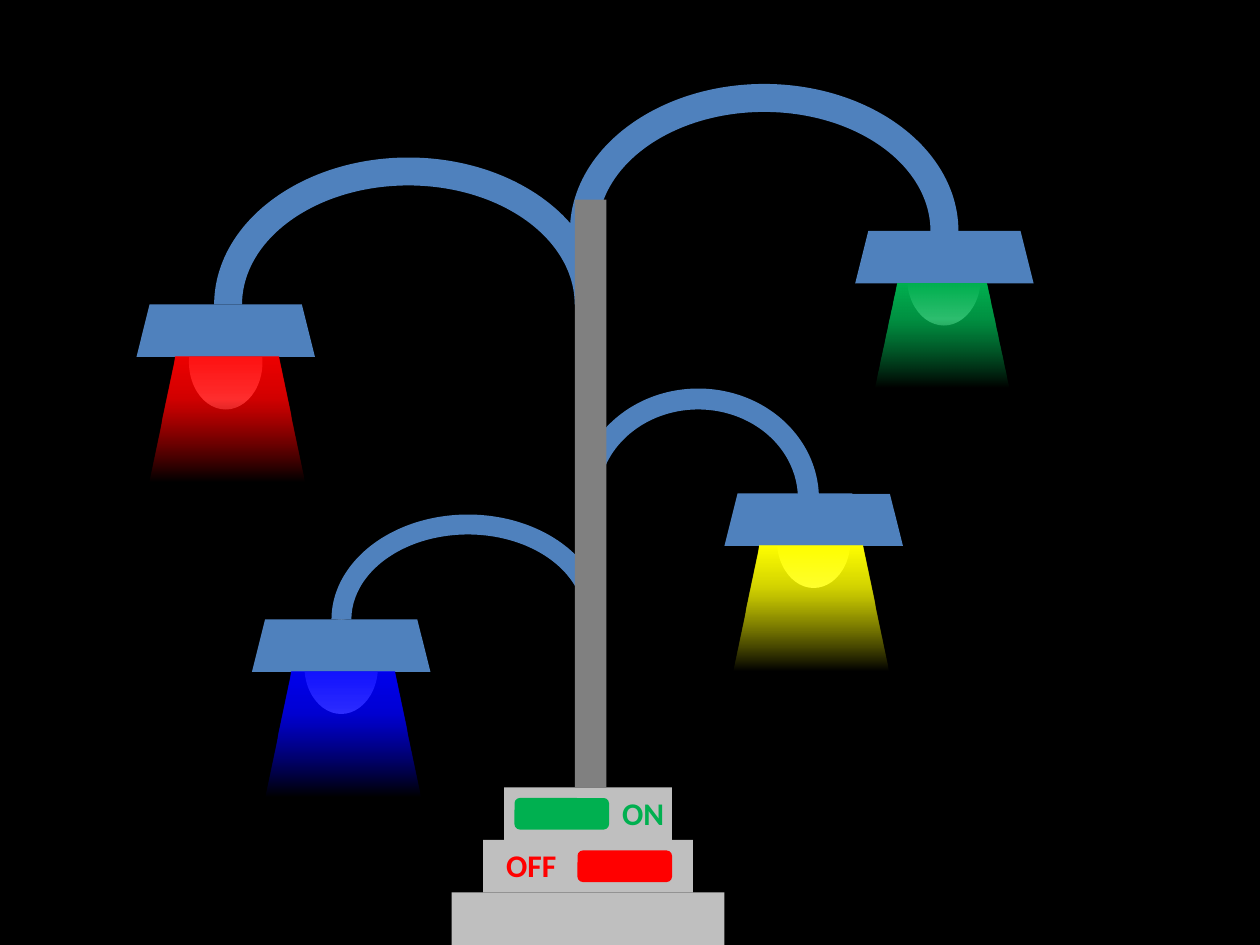
from lxml.etree import SubElement
from pptx import Presentation
from pptx.dml.color import RGBColor
from pptx.enum.shapes import MSO_SHAPE
from pptx.enum.text import MSO_AUTO_SIZE, PP_ALIGN
from pptx.oxml.ns import qn
from pptx.util import Pt

BLACK = RGBColor(0x00, 0x00, 0x00)
WHITE = RGBColor(0xFF, 0xFF, 0xFF)
STEEL = RGBColor(0x4F, 0x81, 0xBD)
POLE_GRAY = RGBColor(0x80, 0x80, 0x80)
BASE_GRAY = RGBColor(0xBF, 0xBF, 0xBF)
RED = RGBColor(0xFF, 0x00, 0x00)
GREEN = RGBColor(0x00, 0xB0, 0x50)
BLUE = RGBColor(0x00, 0x00, 0xFF)
YELLOW = RGBColor(0xFF, 0xFF, 0x00)

presentation = Presentation()
presentation.slide_width = Pt(720)
presentation.slide_height = Pt(540)
slide = presentation.slides.add_slide(presentation.slide_layouts[6])
slide.background.fill.solid()
slide.background.fill.fore_color.rgb = BLACK


def add_filled(kind, left, top, width, height, color):
    shape = slide.shapes.add_shape(kind, Pt(left), Pt(top), Pt(width), Pt(height))
    shape.shadow.inherit = False
    shape.line.fill.background()
    shape.fill.solid()
    shape.fill.fore_color.rgb = color
    return shape


def fade_down(shape, color, top_opacity):
    """Fade the fill from a translucent light colour to black halfway down."""
    shape.fill.gradient()
    shape.fill.gradient_angle = 270
    stop_list = shape.element.spPr.find(qn("a:gradFill")).find(qn("a:gsLst"))
    for stop in list(stop_list):
        stop_list.remove(stop)
    stops = [(0, color, top_opacity), (17, color, 82), (50, BLACK, 100), (100, BLACK, 100)]
    for position, stop_color, opacity in stops:
        stop = SubElement(stop_list, qn("a:gs"), pos=str(position * 1000))
        color_element = SubElement(stop, qn("a:srgbClr"), val=str(stop_color))
        if opacity < 100:
            SubElement(color_element, qn("a:alpha"), val=str(opacity * 1000))


# Bulbs
for left, top in [(518.4, 132), (444, 282), (174, 354), (108, 180)]:
    add_filled(MSO_SHAPE.OVAL, left, top, 42, 54, WHITE)

# Stepped base
for step, (left, width) in enumerate([(288, 96), (276, 120), (258, 156)]):
    add_filled(MSO_SHAPE.RECTANGLE, left, 450 + step * 30, width, 30, BASE_GRAY)

# Curved arms
arms = [
    (325.7, 48, 222, 168),
    (330, 222, 138, 126),
    (122.4, 90, 222, 168),
    (189.4, 294, 156, 120),
]
for left, top, width, height in arms:
    arm = add_filled(MSO_SHAPE.BLOCK_ARC, left, top, width, height, STEEL)
    arm.adjustments[0] = 108
    arm.adjustments[1] = 0
    arm.adjustments[2] = 0.095

# Pole
add_filled(MSO_SHAPE.RECTANGLE, 328.5, 114, 18, 336, POLE_GRAY)

# Lamp shades
for left, top in [(488.7, 132), (414, 282), (78, 174), (144, 354)]:
    add_filled(MSO_SHAPE.TRAPEZOID, left, top, 102, 30, STEEL)

# Light beams
beams = [
    (70.7, 204, 118, 144, RED, 93),
    (137, 384, 118, 144, BLUE, 93),
    (404.6, 312, 118, 144, YELLOW, 100),
    (487.2, 162, 102, 120, GREEN, 100),
]
for left, top, width, height, color, top_opacity in beams:
    beam = add_filled(MSO_SHAPE.TRAPEZOID, left, top, width, height, color)
    fade_down(beam, color, top_opacity)

# Switch buttons
for left, top, color in [(294, 456, GREEN), (330, 486, RED)]:
    add_filled(MSO_SHAPE.ROUNDED_RECTANGLE, left, top, 54, 18, color)

# Switch labels
for text, left, top, width, color in [("ON", 348, 450, 39, GREEN), ("OFF", 282, 480, 43, RED)]:
    label = slide.shapes.add_textbox(Pt(left), Pt(top), Pt(width), Pt(29))
    label.text_frame.word_wrap = False
    label.text_frame.auto_size = MSO_AUTO_SIZE.SHAPE_TO_FIT_TEXT
    paragraph = label.text_frame.paragraphs[0]
    paragraph.alignment = PP_ALIGN.CENTER
    run = paragraph.add_run()
    run.text = text
    run.font.name = "Calibri"
    run.font.size = Pt(18)
    run.font.bold = True
    run.font.color.rgb = color

presentation.save("out.pptx")
